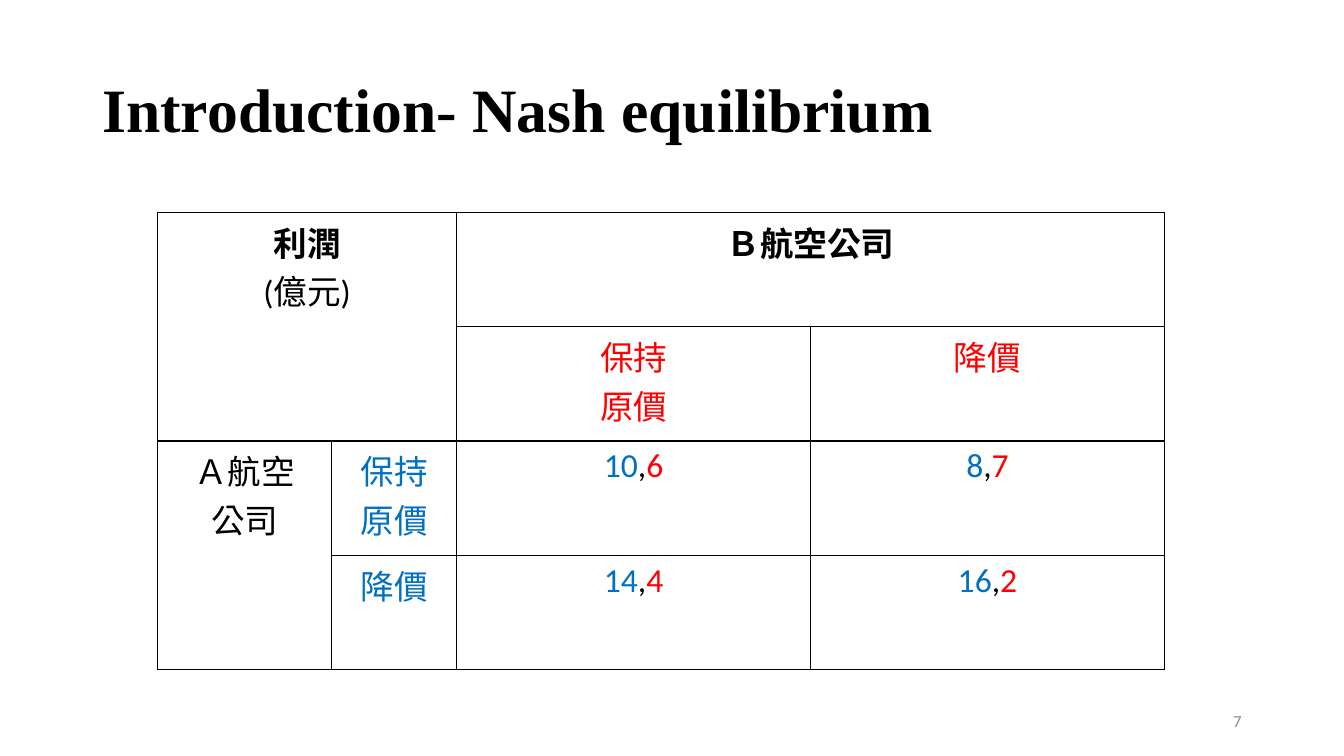
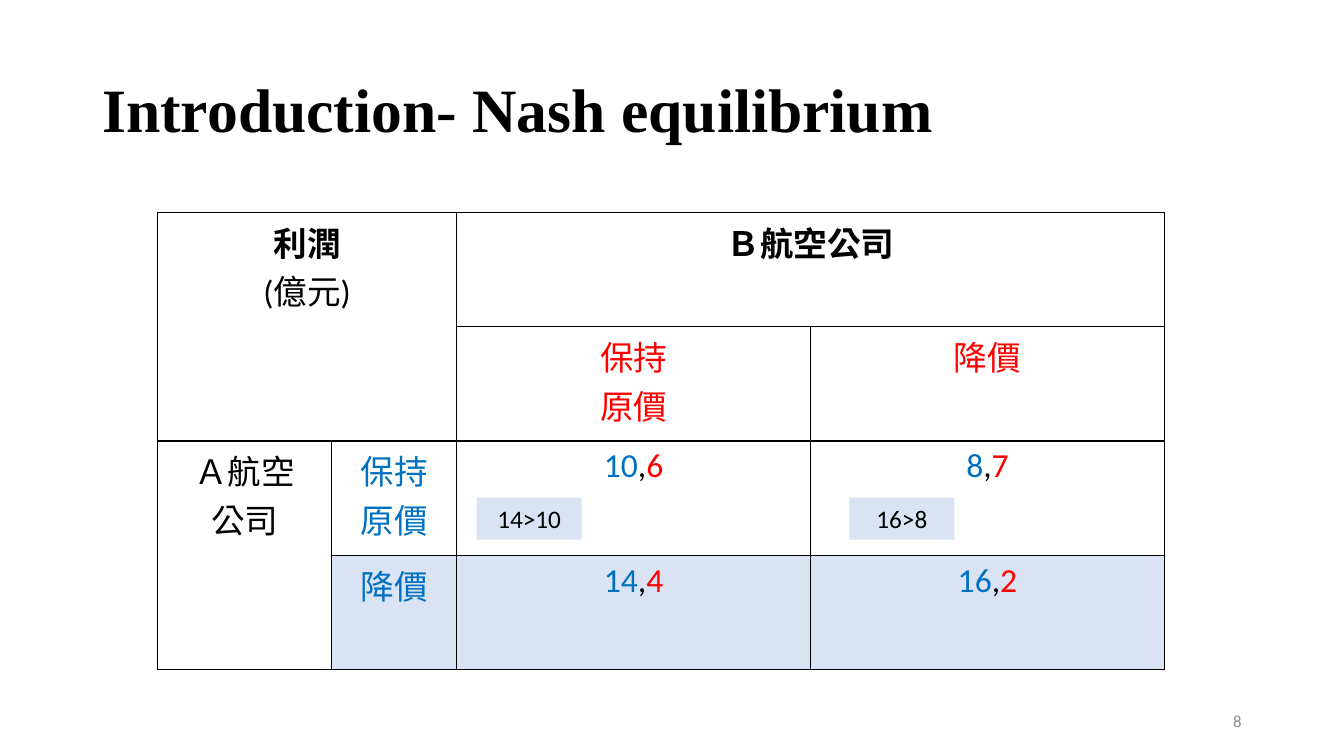
from lxml import etree
from pptx import Presentation
from pptx.dml.color import RGBColor
from pptx.enum.lang import MSO_LANGUAGE_ID
from pptx.enum.shapes import MSO_SHAPE
from pptx.enum.text import MSO_ANCHOR, PP_ALIGN
from pptx.oxml.ns import qn
from pptx.util import Pt

PX = 9525
BLANK_LAYOUT = 6
RECTANGLE = MSO_SHAPE.RECTANGLE
MIDDLE = MSO_ANCHOR.MIDDLE
LEFT, CENTER, RIGHT = PP_ALIGN.LEFT, PP_ALIGN.CENTER, PP_ALIGN.RIGHT
CHINESE = MSO_LANGUAGE_ID.TRADITIONAL_CHINESE

COLORS = {
    "ink": "000000",
    "airline_a": "0070C0",
    "airline_b": "FF0000",
    "page_number": "8C8C8C",
    "highlight": "DAE3F3",
}
BODY_FONT = "Calibri"
TITLE_FONT = "Times New Roman"
TITLE = "Introduction- Nash equilibrium"

TITLE_BOX = (88, 38, 1104, 139)
NUMBER_BOX = (904, 667, 288, 38)
MATRIX_ORIGIN = (150, 202)
COLUMN_WIDTHS = (166, 119, 337, 337)
ROW_HEIGHT = 109
ROW_COUNT = 4
BORDER_WIDTH = 1
CALLOUT_SIZE = (100, 40)
CALLOUT_TOP = 54

STRATEGIES = (["保持", "原價"], ["降價"])
PAYOFFS = (((10, 6), (8, 7)), ((14, 4), (16, 2)))


def emu(*lengths):
    return [length * PX for length in lengths]


def color(name):
    return RGBColor.from_string(COLORS[name])


def add_span(para, text, size=24, font=BODY_FONT, ink="ink", bold=False, language=None):
    span = para.add_run()
    span.text = text
    span.font.size = Pt(size)
    span.font.name = font
    span.font.bold = bold
    span.font.color.rgb = color(ink)
    if language:
        span.font.language_id = language


def write(frame, lines, align=CENTER, line_spacing=None, **style):
    """Write one paragraph per line; a line is a list of (text, own style) spans."""
    for index, spans in enumerate(lines):
        para = frame.add_paragraph() if index else frame.paragraphs[0]
        para.alignment = align
        if line_spacing:
            para.line_spacing = line_spacing
        for text, own in spans:
            add_span(para, text, **{**style, **own})


def plain(lines, **style):
    return [[(line, style)] for line in lines]


def add_text(page, box, text, **style):
    frame = page.shapes.add_textbox(*emu(*box)).text_frame
    frame.word_wrap = True
    frame.vertical_anchor = MIDDLE
    write(frame, plain([text]), **style)


def add_borders(cell):
    properties = cell._tc.get_or_add_tcPr()
    for index, side in enumerate(("lnL", "lnR", "lnT", "lnB")):
        line = etree.Element(qn(f"a:{side}"), w=str(Pt(BORDER_WIDTH)))
        fill = etree.SubElement(line, qn("a:solidFill"))
        etree.SubElement(fill, qn("a:srgbClr"), val=COLORS["ink"])
        properties.insert(index, line)


def matrix_contents():
    """Map each (row, column) that holds text to its lines."""
    contents = {
        (0, 0): plain(["利潤"], bold=True) + plain(["(億元)"]),
        (0, 2): plain(["Ｂ航空公司"], bold=True),
        (2, 0): plain(["Ａ航空", "公司"]),
    }
    for index, strategy in enumerate(STRATEGIES, start=2):
        contents[1, index] = plain(strategy, ink="airline_b")
        contents[index, 1] = plain(strategy, ink="airline_a")
    for row, pairs in enumerate(PAYOFFS, start=2):
        for column, (payoff_a, payoff_b) in enumerate(pairs, start=2):
            contents[row, column] = [[
                (str(payoff_a), {"ink": "airline_a"}),
                (",", {}),
                (str(payoff_b), {"ink": "airline_b"}),
            ]]
    return contents


def add_payoff_matrix(page, origin, highlighted_row=None):
    size = (sum(COLUMN_WIDTHS), ROW_HEIGHT * ROW_COUNT)
    table = page.shapes.add_table(
        ROW_COUNT, len(COLUMN_WIDTHS), *emu(*origin, *size)
    ).table
    table.first_row = table.horz_banding = False
    for column, width in zip(table.columns, emu(*COLUMN_WIDTHS)):
        column.width = width
    for row in table.rows:
        row.height = ROW_HEIGHT * PX
    for first, last in (((0, 0), (1, 1)), ((0, 2), (0, 3)), ((2, 0), (3, 0))):
        table.cell(*first).merge(table.cell(*last))

    contents = matrix_contents()
    for row in range(ROW_COUNT):
        for column in range(len(COLUMN_WIDTHS)):
            cell = table.cell(row, column)
            if row == highlighted_row and column > 0:
                cell.fill.solid()
                cell.fill.fore_color.rgb = color("highlight")
            else:
                cell.fill.background()
            add_borders(cell)
            if (row, column) in contents:
                write(cell.text_frame, contents[row, column], language=CHINESE)


def add_callout(page, origin, column, indent, text):
    """Place a comparison inside the upper payoff cell of the given column."""
    left = origin[0] + sum(COLUMN_WIDTHS[:column]) + indent
    top = origin[1] + 2 * ROW_HEIGHT + CALLOUT_TOP
    callout = page.shapes.add_shape(RECTANGLE, *emu(left, top, *CALLOUT_SIZE))
    callout.shadow.inherit = False
    callout.fill.solid()
    callout.fill.fore_color.rgb = color("highlight")
    callout.line.fill.background()
    callout.text_frame.vertical_anchor = MIDDLE
    write(callout.text_frame, plain([text]), size=18)


def add_matrix_page(deck, number, highlighted_row=None, callouts=()):
    page = deck.slides.add_slide(deck.slide_layouts[BLANK_LAYOUT])
    add_text(page, TITLE_BOX, TITLE, size=44, font=TITLE_FONT, bold=True,
             align=LEFT, line_spacing=0.9)
    add_text(page, NUMBER_BOX, str(number), size=12, ink="page_number", align=RIGHT)
    add_payoff_matrix(page, MATRIX_ORIGIN, highlighted_row)
    for column, indent, text in callouts:
        add_callout(page, MATRIX_ORIGIN, column, indent, text)


def main():
    deck = Presentation()
    deck.slide_width, deck.slide_height = emu(1280, 720)
    add_matrix_page(deck, 7)
    add_matrix_page(deck, 8, highlighted_row=3,
                    callouts=((2, 19, "14>10"), (3, 37, "16>8")))
    deck.save("out.pptx")


if __name__ == "__main__":
    main()
